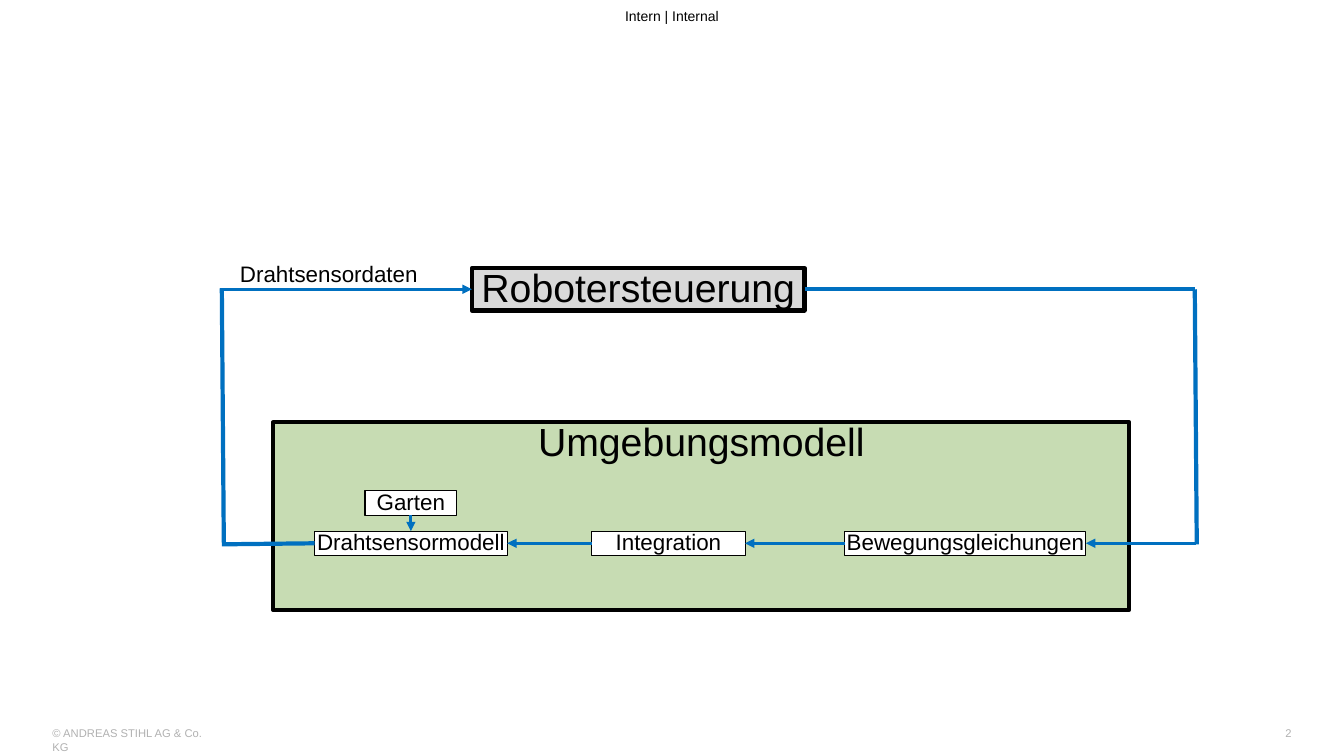
from dataclasses import dataclass

from lxml.etree import SubElement
from pptx import Presentation
from pptx.dml.color import RGBColor
from pptx.enum.shapes import MSO_CONNECTOR as Conn, MSO_SHAPE as Kind
from pptx.enum.text import MSO_ANCHOR as Anchor, PP_ALIGN as Align
from pptx.oxml.ns import qn
from pptx.util import Inches, Pt

BLACK, GREY, BLUE = "000000", "B1B1B1", "0070C0"
TOP, LEFT, BOTTOM, RIGHT = range(4)
HIGH, LOW = 2.87, 5.39  # heights of the two signal rows
ROW, SMALL = 5.27, 0.24


@dataclass
class Box:
    text: str
    x: float
    y: float
    w: float
    h: float
    fill: str = "FFFFFF"
    line: float = 0.75
    size: int = 16
    anchor: Anchor = Anchor.MIDDLE


@dataclass
class Label:
    text: str
    x: float
    y: float
    w: float
    h: float
    size: int
    color: str
    align: Align = Align.LEFT
    space: float = 1.0


@dataclass
class Joint:
    box: str
    side: int


@dataclass
class Point:
    x: float
    y: float


@dataclass
class Wire:
    start: Joint | Point
    end: Joint | Point
    width: float = 3
    arrow: bool = False


ROBOT, MODEL, MOTION = "Robotersteuerung", "Umgebungsmodell", "Bewegungsgleichungen"
SUM, SENSOR, GARDEN = "Integration", "Drahtsensormodell", "Garten"

BOXES = [
    Box(ROBOT, 4.68, 2.66, 3.3, 0.42, "D9D9D9", 3, 28),
    Box(MODEL, 2.71, 4.19, 8.49, 1.86, "C7DCB3", 3, 28, Anchor.TOP),
    Box(MOTION, 8.38, ROW, 2.39, SMALL),
    Box(SUM, 5.87, ROW, 1.52, SMALL),
    Box(SENSOR, 3.12, ROW, 1.91, SMALL),
    Box(GARDEN, 3.62, 4.87, 0.91, SMALL),
]
LABELS = [
    Label("© ANDREAS STIHL AG & Co. KG", 0.52, 7.21, 1.59, 0.13, 8, GREY),
    Label("2", 12.61, 7.21, 0.2, 0.13, 8, GREY, Align.RIGHT),
    Label("Intern | Internal", 6.2, 0.07, 0.96, 0.17, 10, BLACK),
    Label("Drahtsensordaten", 2.38, 2.61, 1.85, 0.24, 16, BLACK, space=0.9),
]
WIRES = [
    Wire(Joint(ROBOT, RIGHT), Point(11.85, HIGH)),
    Wire(Point(11.87, 5.4), Point(11.85, HIGH)),
    Wire(Point(11.86, LOW), Joint(MOTION, RIGHT), 2.25, True),
    Wire(Joint(MOTION, LEFT), Joint(SUM, RIGHT), 2.25, True),
    Wire(Joint(SUM, LEFT), Joint(SENSOR, RIGHT), 2.25, True),
    Wire(Point(2.18, HIGH), Joint(ROBOT, LEFT), 2.25, True),
    Wire(Point(2.22, 5.38), Point(2.2, 2.86)),
    Wire(Point(2.2, 5.4), Joint(SENSOR, LEFT)),
    Wire(Joint(GARDEN, BOTTOM), Joint(SENSOR, TOP), 2.25, True),
]


def color(code: str) -> RGBColor:
    return RGBColor.from_string(code)


def write(shape, text: str, size: int, code: str, align: Align,
          anchor: Anchor, space: float) -> None:
    frame = shape.text_frame
    frame.margin_left = frame.margin_right = 0
    frame.margin_top = frame.margin_bottom = 0
    frame.word_wrap = True
    frame.vertical_anchor = anchor
    para = frame.paragraphs[0]
    para.alignment = align
    para.line_spacing = space
    run = para.add_run()
    run.text = text
    run.font.name = "Arial"
    run.font.size = Pt(size)
    run.font.color.rgb = color(code)


def add_label(slide, item: Label) -> None:
    area = map(Inches, (item.x, item.y, item.w, item.h))
    shape = slide.shapes.add_textbox(*area)
    write(shape, item.text, item.size, item.color, item.align, Anchor.TOP, item.space)


def add_box(slide, item: Box):
    area = map(Inches, (item.x, item.y, item.w, item.h))
    shape = slide.shapes.add_shape(Kind.RECTANGLE, *area)
    shape.shadow.inherit = False
    shape.fill.solid()
    shape.fill.fore_color.rgb = color(item.fill)
    shape.line.color.rgb = color(BLACK)
    shape.line.width = Pt(item.line)
    write(shape, item.text, item.size, BLACK, Align.CENTER, item.anchor, 0.9)
    return shape


def spot(end: Joint | Point) -> tuple[int, int]:
    """Give the place of a free end; a joined end is moved later."""
    if isinstance(end, Point):
        return Inches(end.x), Inches(end.y)
    return Inches(0), Inches(0)


def add_wire(slide, wire: Wire, shapes: dict) -> None:
    line = slide.shapes.add_connector(Conn.STRAIGHT, *spot(wire.start), *spot(wire.end))
    for end, join in ((wire.start, line.begin_connect), (wire.end, line.end_connect)):
        if isinstance(end, Joint):
            join(shapes[end.box], end.side)
    line.line.color.rgb = color(BLUE)
    line.line.width = Pt(wire.width)
    if wire.arrow:
        SubElement(line.get_or_add_ln(), qn("a:tailEnd"), type="triangle")
    SubElement(line.element.spPr, qn("a:effectLst"))


def main() -> None:
    deck = Presentation()
    deck.slide_width, deck.slide_height = Inches(13.33), Inches(7.5)
    slide = deck.slides.add_slide(deck.slide_layouts[6])
    shapes = {item.text: add_box(slide, item) for item in BOXES}
    for item in LABELS:
        add_label(slide, item)
    for wire in WIRES:
        add_wire(slide, wire, shapes)
    deck.save("out.pptx")


if __name__ == "__main__":
    main()
